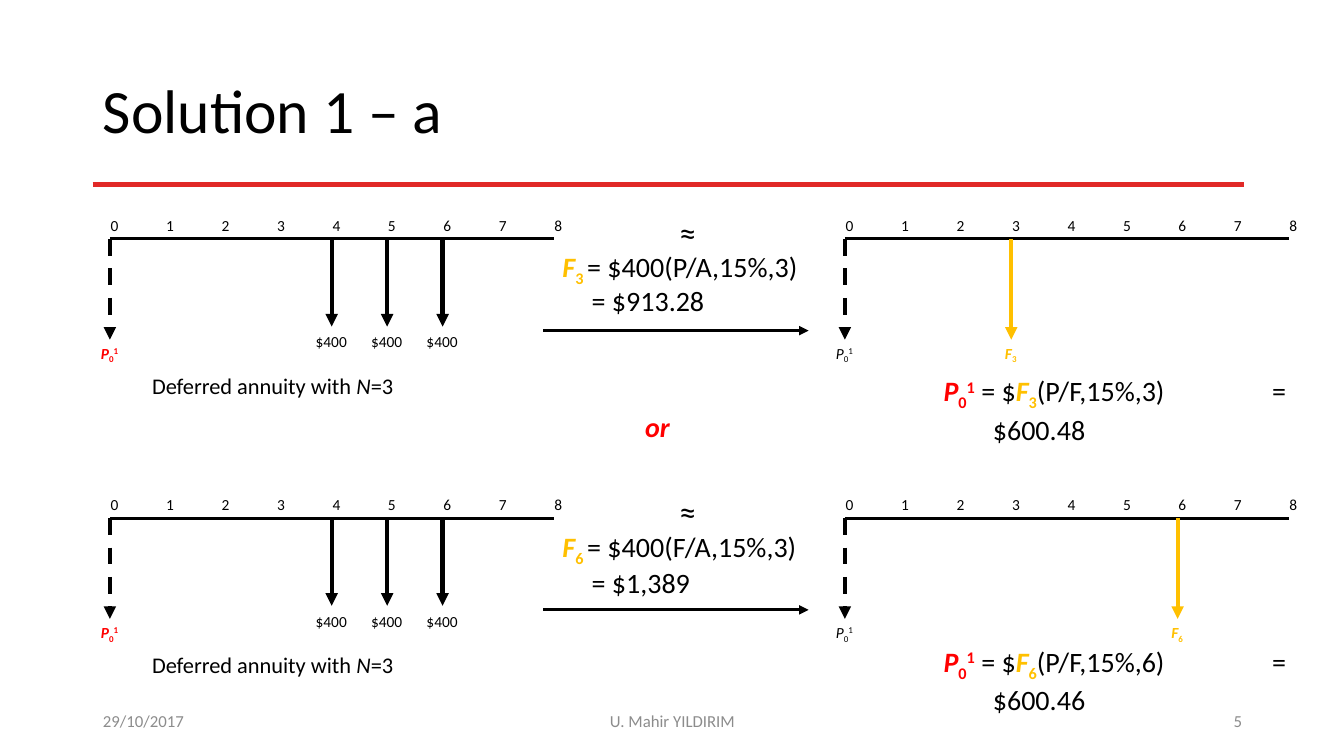
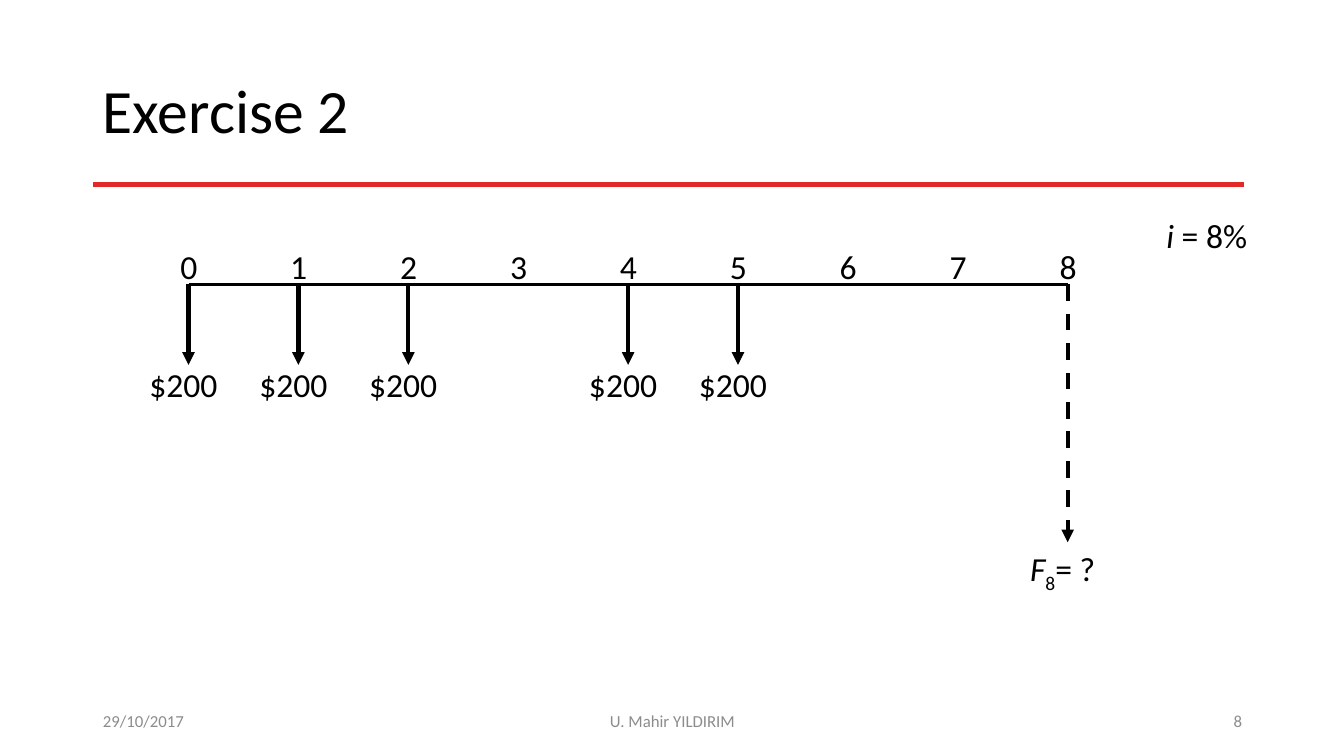
import copy

from lxml import etree
from pptx import Presentation
from pptx import util as u
from pptx.dml.color import RGBColor
from pptx.enum import dml, shapes, text
from pptx.oxml.ns import qn

PX = 9144  # EMU; 100 px to the inch
FONT = "Calibri"
BLACK, RED, GOLD, GREY, RULE = "000000", "FF0000", "FFC000", "8C8C8C", "E12927"
LEFT, CENTER, RIGHT = text.PP_ALIGN.LEFT, text.PP_ALIGN.CENTER, text.PP_ALIGN.RIGHT
TOP, MIDDLE = text.MSO_ANCHOR.TOP, text.MSO_ANCHOR.MIDDLE


def write(sp, runs, size=11, color=BLACK, align=LEFT, anchor=TOP, spacing=None, tabs=()):
    """Fill a shape with one paragraph; a run is a string or (string, format), "\\n" a line break."""
    tf = sp.text_frame
    tf.clear()
    tf.word_wrap = True
    tf.auto_size = text.MSO_AUTO_SIZE.NONE
    tf.vertical_anchor = anchor
    p = tf.paragraphs[0]
    p.alignment = align
    if spacing:
        p.line_spacing = spacing
    if tabs:
        tab_list = etree.SubElement(p._p.get_or_add_pPr(), qn("a:tabLst"))
        for stop in tabs:
            etree.SubElement(tab_list, qn("a:tab"), pos=str(stop * PX), algn="l")
    for run in [runs] if isinstance(runs, str) else runs:
        if run == "\n":
            p.add_line_break()
            continue
        words, fmt = (run, {}) if isinstance(run, str) else run
        r = p.add_run()
        r.text = words
        r.font.name = FONT
        r.font.size = u.Pt(size)
        r.font.bold = fmt.get("bold", False)
        r.font.italic = fmt.get("italic", False)
        r.font.color.rgb = RGBColor.from_string(fmt.get("color", color))
        if "base" in fmt:
            r.font._element.set("baseline", str(fmt["base"] * 1000))


def add_line(s, x1, y1, x2, y2, color=BLACK, width=2.25, arrow=False, dashed=False):
    ln = s.shapes.add_connector(shapes.MSO_CONNECTOR.STRAIGHT, *(v * PX for v in (x1, y1, x2, y2)))
    ln.line.color.rgb = RGBColor.from_string(color)
    ln.line.width = u.Pt(width)
    if dashed:
        ln.line.dash_style = dml.MSO_LINE.DASH
    if arrow:
        etree.SubElement(ln.line._get_or_add_ln(), qn("a:tailEnd"), type="triangle")
    etree.SubElement(ln._element.spPr, qn("a:effectLst"))
    return ln


prs = Presentation()
prs.slide_width, prs.slide_height = u.Inches(13.33), u.Inches(7.5)
layout = prs.slide_layouts[5]

# Shared frame: title and footer places, then the red rule
frame = {0: (92, 40, 1150, 145), 10: (92, 695, 300, 40),
         11: (442, 695, 450, 40), 12: (942, 695, 300, 40)}
for ph in layout.placeholders:
    ph.left, ph.top, ph.width, ph.height = (v * PX for v in frame[ph.placeholder_format.idx])

slides = []
for title, number in (("Solution 1 – a", "5"), ("Exercise 2", "8")):
    s = prs.slides.add_slide(layout)
    slides.append(s)
    write(s.shapes.title, title, size=44, anchor=MIDDLE, spacing=0.9)
    footers = {10: ("29/10/2017", LEFT), 11: ("U. Mahir YILDIRIM", CENTER), 12: (number, RIGHT)}
    for ph in layout.placeholders:
        idx = ph.placeholder_format.idx
        if idx in footers:
            s.shapes._spTree.append(copy.deepcopy(ph._element))
            words, align = footers[idx]
            write(s.placeholders[idx], words, size=12, color=GREY, align=align, anchor=MIDDLE)

solution, exercise = slides
rule = add_line(solution, 92, 183, 1234, 183, color=RULE, width=3)
layout.shapes._spTree.append(rule._element)

# Run formats and recurring symbols
italic = {"italic": True}
sub, sup = {"base": -25}, {"base": 30}
red = {"bold": True, "color": RED}
gold = {"bold": True, "color": GOLD}
p_plain = [("P", italic), ("0", sub), ("1", sup)]
p_red = [("P", red | italic), ("0", red | sub), ("1", red | sup)]

# Cash flows: period, arrow length, label offset, colour, dashed, label
payments = [(n, 87, 88, BLACK, False, "$400") for n in (4, 5, 6)]
deferred = [(0, 100, 99, BLACK, True, p_red)] + payments
costs = [(n, 80, 74, BLACK, False, "$200") for n in (0, 1, 2, 4, 5)]
future = [(8, 256, 257, BLACK, True, [("F", italic), ("8", sub), "= ?"])]

# Timelines: slide, left, top, step, text size, flows
timelines = [(exercise, 187, 282, 109, 24, costs + future)]
notes = [(solution, (630, 401, 80, 44), [("or", red | italic)], 20, ())]

# The two ways to solve: top, future period, factor, amounts, offsets of the results
ways = [(237, "3", "P/A", "$913.28", "$600.48", 39, 129),
        (514, "6", "F/A", "$1,389", "$600.46", 42, 120)]
for y, n, factor, amount, present, amount_dy, present_dy in ways:
    f_gold = [("F", gold | italic), (n, gold | sub)]
    single = [(0, 100, 99, BLACK, True, p_plain), (int(n), 100, 99, GOLD, False, f_gold)]
    timelines += [(solution, 109, y, 55, 11, deferred), (solution, 838, y, 55, 11, single)]
    add_line(solution, 539, y + 91, 802, y + 91, arrow=True)
    notes += [
        (solution, (664, y - 32, 60, 50), "≈", 24, ()),
        (solution, (548, y + 6, 290, 44),
         [f_gold[0], (n + " ", gold | sub), f"= $400({factor},15%,3)"], 20, ()),
        (solution, (577, y + amount_dy, 180, 44), f"= {amount}", 20, ()),
        (solution, (141, y + 127, 300, 37), ["Deferred annuity with ", ("N", italic), "=3"], 16, ()),
        (solution, (926, y + present_dy, 370, 77),
         p_red + [" = $"] + f_gold + [f"(P/F,15%,{n})\t=", "\n", f"\t{present}"], 20, (49, 326)),
    ]
notes.append((exercise, (1147, 208, 154, 50), [("i", italic), " = 8%"], 24, ()))

for s, x0, y, step, size, flows in timelines:
    big = size > 11
    add_line(s, x0, y, x0 + 8 * step, y)
    dx, dy, w, h = (18, 43, 38, 50) if big else (9, 28, 30, 29)
    for n in range(9):
        box = s.shapes.add_textbox(*(v * PX for v in (x0 + n * step - dx, y - dy, w, h)))
        write(box, str(n), size=size)
    dx, w = (53, 96) if big else (35, 69)
    for n, length, label_dy, color, dashed, label in flows:
        x = x0 + n * step
        add_line(s, x, y, x, y + length, color=color, width=3, arrow=True, dashed=dashed)
        box = s.shapes.add_textbox(*(v * PX for v in (x - dx, y + label_dy, w, h)))
        write(box, label, size=size, align=CENTER)

for s, place, runs, size, tabs in notes:
    write(s.shapes.add_textbox(*(v * PX for v in place)), runs, size=size, tabs=tabs)

prs.save("out.pptx")
